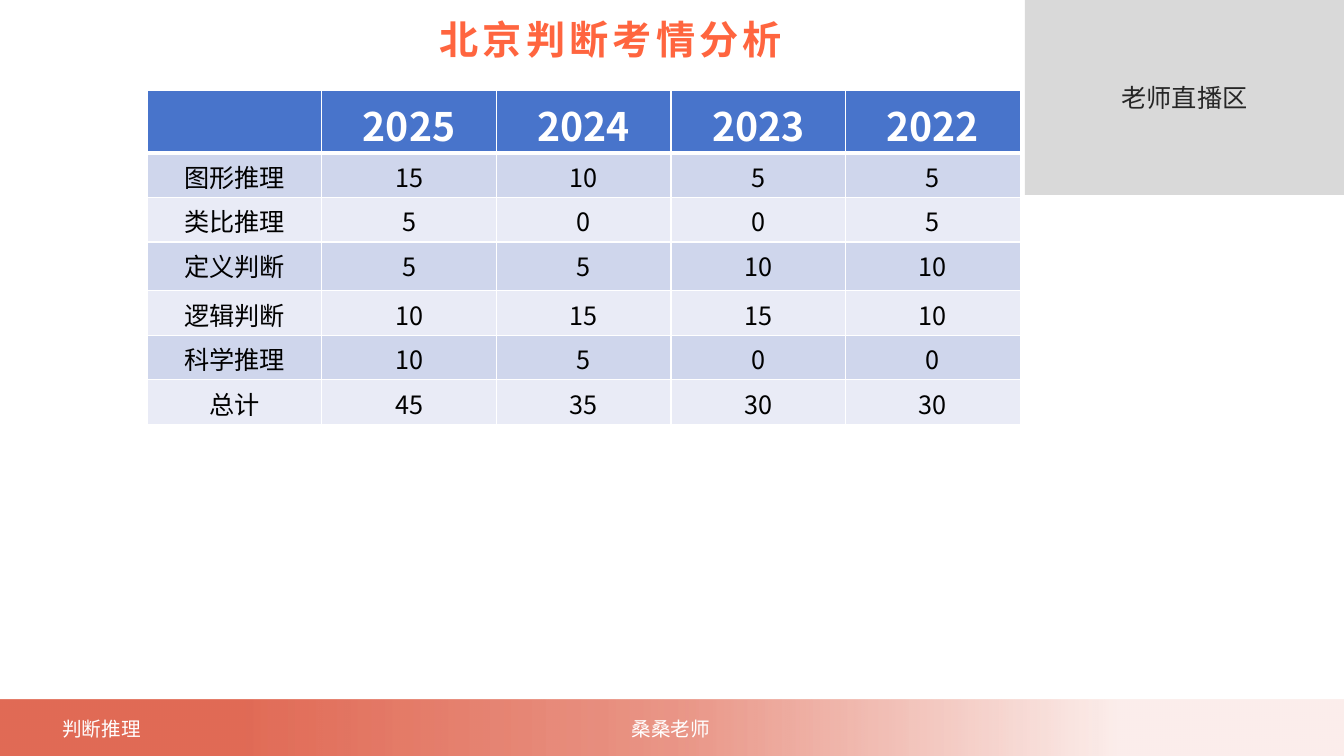
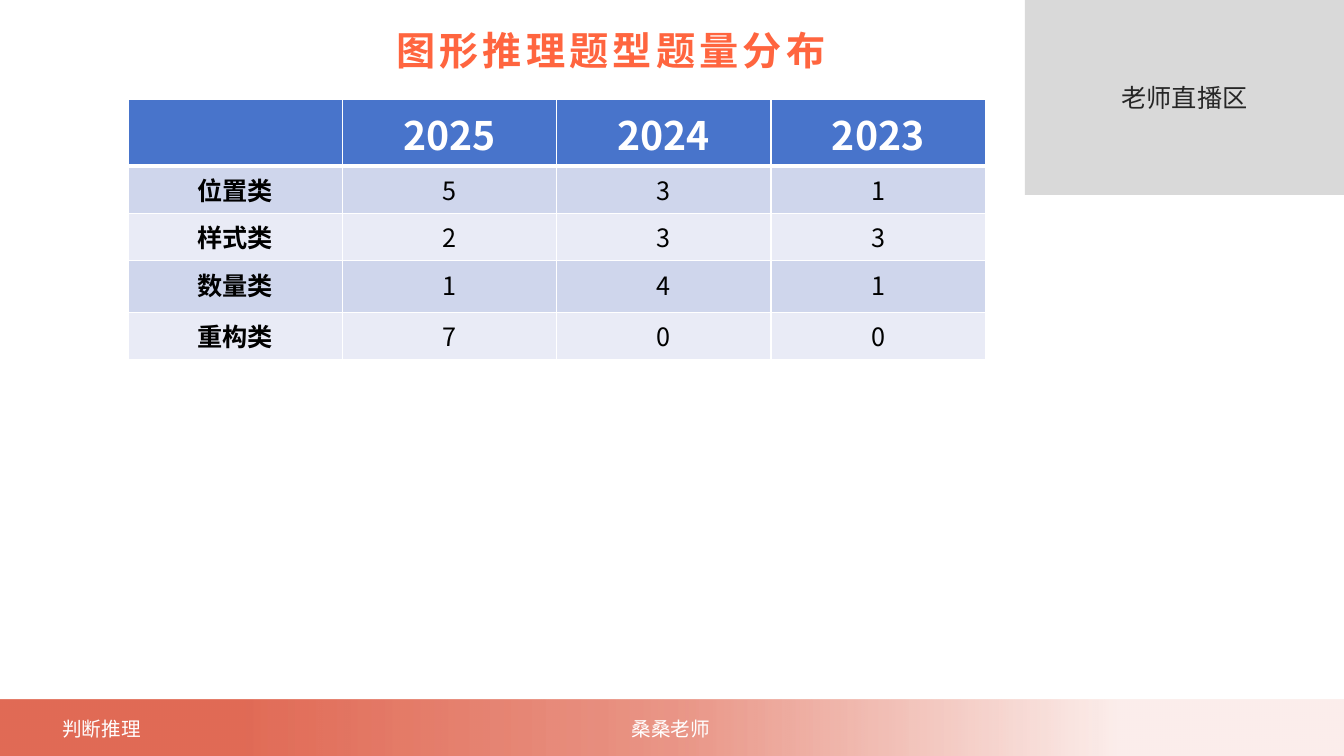
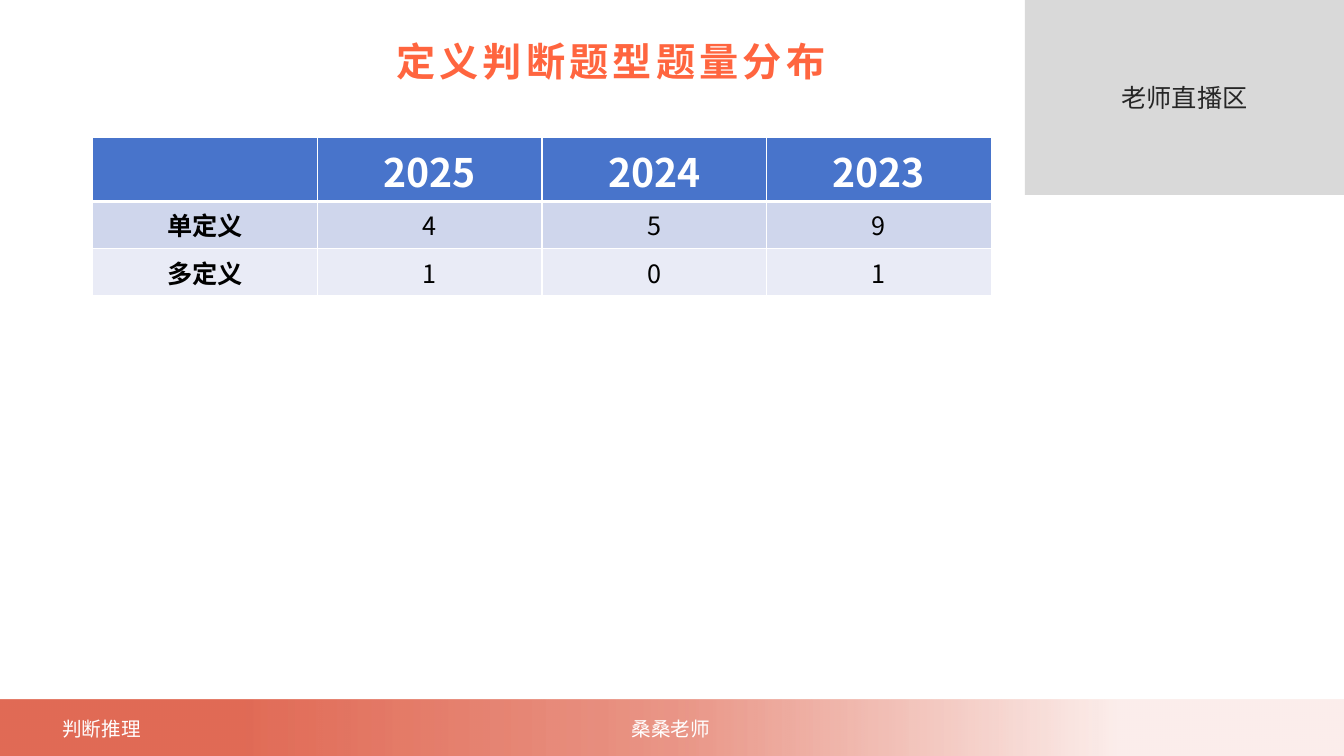
from dataclasses import dataclass

from lxml.etree import SubElement
from pptx import Presentation
from pptx.dml.color import RGBColor
from pptx.enum.shapes import MSO_SHAPE
from pptx.enum.text import MSO_ANCHOR, MSO_AUTO_SIZE, PP_ALIGN
from pptx.oxml.ns import qn
from pptx.shapes.base import BaseShape
from pptx.slide import Slide
from pptx.table import _Cell
from pptx.text.text import TextFrame
from pptx.util import Cm, Pt


@dataclass(frozen=True)
class Theme:
    font: str = "Noto Sans CJK SC"
    title: str = "FF653F"
    panel: str = "D9D9D9"
    panel_text: str = "262626"
    footer: str = "DC5037"
    white: str = "FFFFFF"
    black: str = "000000"
    header_fill: str = "4874CB"
    bands: tuple[str, str] = ("CFD6EC", "E9EBF6")
    footer_stops: tuple[tuple[int, int], ...] = ((18, 84), (51, 59), (83, 10))
    heading_size: int = 28
    heading_spacing: int = 3
    body_size: int = 18
    footer_size: int = 14
    rule: int = 1
    header_rule: int = 3


@dataclass(frozen=True)
class TableSlide:
    """One slide's title and table; lengths are in centimetres."""
    title: str
    title_top: float
    left: float
    top: float
    column_width: float
    header_height: float
    row_height: float
    years: tuple[str, ...]
    rows: tuple[tuple[str, ...], ...]
    bold_labels: bool = True
    tall_row: int = 3
    tall_height: float = 1.3


THEME = Theme()
PAGE_WIDTH, PAGE_HEIGHT = 33.87, 19.05
FOOTER_TOP, FOOTER_HEIGHT = 17.62, 1.43
FOOTER_LABELS = (("判断推理", 1.32), ("桑桑老师", 15.67))

TABLE_SLIDES = (
    TableSlide(
        "北京判断考情分析", 0, 3.71, 2.29, 4.4, 1.57, 1.12,
        ("2025", "2024", "2023", "2022"),
        (
            ("图形推理", "15", "10", "5", "5"),
            ("类比推理", "5", "0", "0", "5"),
            ("定义判断", "5", "5", "10", "10"),
            ("逻辑判断", "10", "15", "15", "10"),
            ("科学推理", "10", "5", "0", "0"),
            ("总计", "45", "35", "30", "30"),
        ),
        bold_labels=False, tall_height=1.23,
    ),
    TableSlide(
        "图形推理题型题量分布", 0.28, 3.23, 2.51, 5.4, 1.68, 1.19,
        ("2025", "2024", "2023"),
        (
            ("位置类", "5", "3", "1"),
            ("样式类", "2", "3", "3"),
            ("数量类", "1", "4", "1"),
            ("重构类", "7", "0", "0"),
        ),
    ),
    TableSlide(
        "定义判断题型题量分布", 0.56, 2.34, 3.45, 5.66, 1.63, 1.19,
        ("2025", "2024", "2023"),
        (
            ("单定义", "4", "5", "9"),
            ("多定义", "1", "0", "1"),
        ),
    ),
)


def write(frame: TextFrame, text: str, size: int, color: str, bold: bool = False,
          align: PP_ALIGN = PP_ALIGN.CENTER, spacing: int = 0) -> None:
    frame.text = text
    for para in frame.paragraphs:
        para.alignment = align
        for span in para.runs:
            span.font.size = Pt(size)
            span.font.bold = bold
            span.font.color.rgb = RGBColor.from_string(color)
            span.font.name = THEME.font
            properties = span._r.get_or_add_rPr()
            SubElement(properties, qn("a:ea"), typeface=THEME.font)
            if spacing:
                properties.set("spc", str(spacing * 100))


def add_block(page: Slide, left: float, top: float, width: float, height: float) -> BaseShape:
    """Add a rectangle without line or shadow."""
    block = page.shapes.add_shape(MSO_SHAPE.RECTANGLE, Cm(left), Cm(top), Cm(width), Cm(height))
    block.shadow.inherit = False
    block.line.fill.background()
    return block


def fade_footer(band: BaseShape) -> None:
    """Fill the band with one colour that grows more transparent to the right."""
    band.fill.gradient()
    band.fill.gradient_angle = 0
    stops = band.element.spPr.find(f".//{qn('a:gsLst')}")
    for stop in list(stops):
        stops.remove(stop)
    for position, opacity in THEME.footer_stops:
        stop = SubElement(stops, qn("a:gs"), pos=str(position * 1000))
        color = SubElement(stop, qn("a:srgbClr"), val=THEME.footer)
        SubElement(color, qn("a:alpha"), val=str(opacity * 1000))


def add_frame(page: Slide) -> None:
    """Draw the live panel and the footer that every slide shares."""
    panel = add_block(page, 26.04 - 0.21, 0, 8.04, 4.91)
    panel.fill.solid()
    panel.fill.fore_color.rgb = RGBColor.from_string(THEME.panel)
    panel.text_frame.vertical_anchor = MSO_ANCHOR.MIDDLE
    write(panel.text_frame, "老师直播区", THEME.body_size, THEME.panel_text)

    fade_footer(add_block(page, 0, FOOTER_TOP, PAGE_WIDTH, FOOTER_HEIGHT))
    for text, left in FOOTER_LABELS:
        box = page.shapes.add_textbox(Cm(left), Cm(17.93), Cm(2.49), Cm(0.86))
        box.text_frame.word_wrap = False
        box.text_frame.auto_size = MSO_AUTO_SIZE.SHAPE_TO_FIT_TEXT
        write(box.text_frame, text, THEME.footer_size, THEME.white, align=PP_ALIGN.LEFT)


def add_title(page: Slide, text: str, top: float) -> None:
    box = page.shapes.add_textbox(Cm(0.79), Cm(top), Cm(29.21), Cm(1.96))
    box.text_frame.word_wrap = True
    box.text_frame.vertical_anchor = MSO_ANCHOR.MIDDLE
    write(box.text_frame, text, THEME.heading_size, THEME.title, bold=True,
          spacing=THEME.heading_spacing)


def paint_cell(cell: _Cell, fill: str, top_rule: int, bottom_rule: int) -> None:
    properties = cell._tc.get_or_add_tcPr()
    rules = {"L": THEME.rule, "R": THEME.rule, "T": top_rule, "B": bottom_rule}
    for side, width in rules.items():
        line = SubElement(properties, qn(f"a:ln{side}"), w=str(Pt(width)))
        SubElement(SubElement(line, qn("a:solidFill")), qn("a:srgbClr"), val=THEME.white)
    cell.fill.solid()
    cell.fill.fore_color.rgb = RGBColor.from_string(fill)


def add_count_table(page: Slide, content: TableSlide) -> None:
    records = (("", *content.years), *content.rows)
    heights = [content.header_height] + [content.row_height] * len(content.rows)
    if content.tall_row < len(heights):
        heights[content.tall_row] = content.tall_height
    columns = len(records[0])
    table = page.shapes.add_table(
        len(records), columns, Cm(content.left), Cm(content.top),
        Cm(content.column_width * columns), Cm(sum(heights)),
    ).table
    for column in table.columns:
        column.width = Cm(content.column_width)
    for row_index, record in enumerate(records):
        table.rows[row_index].height = Cm(heights[row_index])
        header = row_index == 0
        fill = THEME.header_fill if header else THEME.bands[(row_index - 1) % 2]
        size = THEME.heading_size if header else THEME.body_size
        color = THEME.white if header else THEME.black
        top_rule = THEME.header_rule if row_index == 1 else THEME.rule
        bottom_rule = THEME.header_rule if header else THEME.rule
        for column_index, text in enumerate(record):
            cell = table.cell(row_index, column_index)
            paint_cell(cell, fill, top_rule, bottom_rule)
            bold = header or (column_index == 0 and content.bold_labels)
            write(cell.text_frame, text, size, color, bold)


def main() -> None:
    deck = Presentation()
    deck.slide_width, deck.slide_height = Cm(PAGE_WIDTH), Cm(PAGE_HEIGHT)
    for content in TABLE_SLIDES:
        page = deck.slides.add_slide(deck.slide_layouts[6])
        add_frame(page)
        add_title(page, content.title, content.title_top)
        add_count_table(page, content)
    deck.save("out.pptx")


if __name__ == "__main__":
    main()
